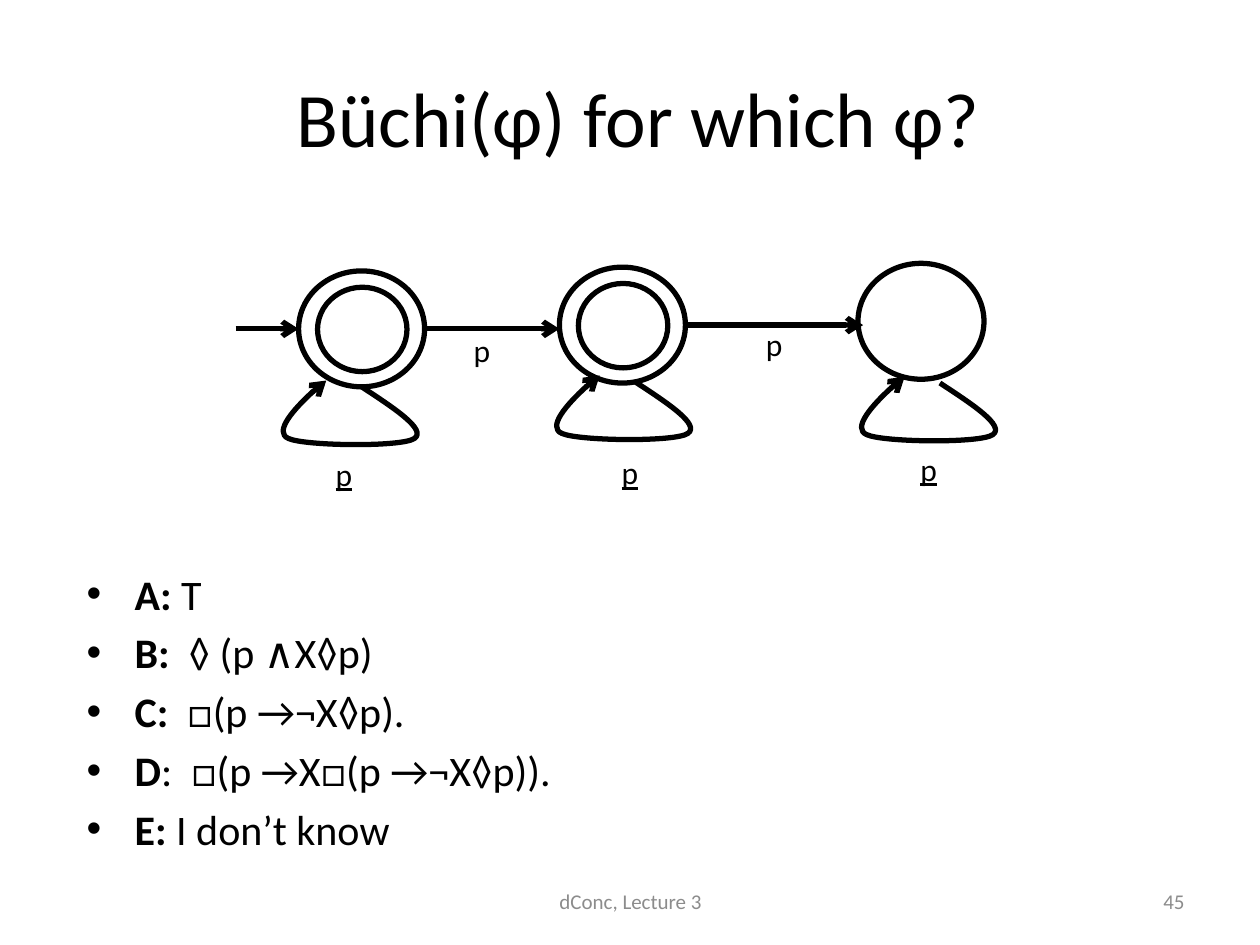
from lxml.etree import SubElement
from pptx import Presentation
from pptx.dml.color import RGBColor
from pptx.enum.shapes import MSO_CONNECTOR, MSO_SHAPE
from pptx.enum.text import MSO_ANCHOR, PP_ALIGN
from pptx.oxml.ns import qn
from pptx.util import Inches, Pt

BLACK = RGBColor(0x00, 0x00, 0x00)
GREY = RGBColor(0x8C, 0x8C, 0x8C)

deck = Presentation()
deck.slide_width, deck.slide_height = Inches(10), Inches(7.5)
CELL = deck.slide_width // 100  # the slide is a grid of 100 columns by 75 rows
slide = deck.slides.add_slide(deck.slide_layouts[5])


def cells(*counts):
    """Turn grid counts into lengths."""
    return [round(count * CELL) for count in counts]


def add_text(text, place, size=18, color=BLACK, align=PP_ALIGN.CENTER,
             anchor=MSO_ANCHOR.TOP, underline=False, wrap=True, box=None):
    """Write one paragraph per item; an item is a list of (text, bold) runs."""
    box = box or slide.shapes.add_textbox(0, 0, 0, 0)
    box.left, box.top, box.width, box.height = cells(*place)
    frame = box.text_frame
    frame.word_wrap, frame.vertical_anchor = wrap, anchor
    items = [[(text, False)]] if isinstance(text, str) else text
    for index, item in enumerate(items):
        para = frame.add_paragraph() if index else frame.paragraphs[0]
        para.alignment = align
        if len(items) > 1:
            properties = para._p.get_or_add_pPr()
            properties.set("marL", str(Inches(0.38)))
            properties.set("indent", str(-Inches(0.38)))
            SubElement(properties, qn("a:buFont"), typeface="Arial")
            SubElement(properties, qn("a:buChar"), char="•")
        if index:
            para.space_before = Pt(size * 0.2)
        for words, bold in item:
            span = para.add_run()
            span.text = words
            span.font.name, span.font.size = "Calibri", Pt(size)
            span.font.bold, span.font.underline = bold, underline
            span.font.color.rgb = color


add_text(" Büchi(φ) for which φ?", (5, 3, 90, 12.5), size=44,
         anchor=MSO_ANCHOR.MIDDLE, box=slide.shapes.title)

answers = [
    [("A: ", True), ("T", False)],
    [("B:  ", True), ("◊ (p ∧X◊p)", False)],
    [("C:", True), ("  □(p →¬X◊p).", False)],
    [("D", True), (":  □(p →X□(p →¬X◊p)).", False)],
    [("E: ", True), ("I don’t know", False)],
]
add_text(answers, (5.9, 44.6, 90, 25.2), size=24, align=PP_ALIGN.LEFT)
add_text("dConc, Lecture 3", (34.2, 69.5, 31.7, 4), size=12, color=GREY,
         anchor=MSO_ANCHOR.MIDDLE)
add_text("45", (71.7, 69.5, 23.3, 4), size=12, color=GREY,
         align=PP_ALIGN.RIGHT, anchor=MSO_ANCHOR.MIDDLE)

# States: outer circles, and inner circles for the accepting ones
state_corners = [(23.7, 21.5), (44.4, 21.2), (68.1, 20.9)]
circles = [(left, top, 10, 9.2) for left, top in state_corners]
circles += [(left + 1.5, top + 1.3, 7.1, 6.7) for left, top in state_corners[:2]]
outlines = [slide.shapes.add_shape(MSO_SHAPE.OVAL, *cells(*circle)) for circle in circles]

# Self-loops: a start and three Bezier segments, relative to the loop's corner
loop_curve = [
    ("a:moveTo", [(6.1, 0.5)]),
    ("a:cubicBezTo", [(8.7, 2.2), (11.3, 3.9), (10.3, 4.6)]),
    ("a:cubicBezTo", [(9.3, 5.3), (1.6, 5.2), (0.3, 4.6)]),
    ("a:cubicBezTo", [(-0.9, 4.1), (1.4, 1.4), (3.3, 0)]),
]
arrows = []
for left, top in [(22.6, 30.2), (44.3, 29.8), (68.5, 29.9)]:
    builder = slide.shapes.build_freeform(*cells(left, top))
    builder.add_line_segments([cells(left + 10.6, top + 5.1)], close=False)
    loop = builder.convert_to_shape()
    outline_path = next(loop._element.iter(qn("a:path")))
    for segment in list(outline_path):
        outline_path.remove(segment)
    for tag, points in loop_curve:
        segment = SubElement(outline_path, qn(tag))
        for point in points:
            x, y = cells(*point)
            SubElement(segment, qn("a:pt"), x=str(x), y=str(y))
    arrows.append(loop)
outlines += arrows

for outline in outlines:
    outline.shadow.inherit = False
    outline.fill.background()

# Transitions
for start, end, row in [(18.7, 23.7, 26.1), (33.6, 44.4, 26.1), (54.4, 68.5, 25.8)]:
    transition = slide.shapes.add_connector(
        MSO_CONNECTOR.STRAIGHT, *cells(start, row, end, row))
    SubElement(transition._element.spPr, qn("a:effectLst"))
    arrows.append(transition)
    outlines.append(transition)

for outline in outlines:
    outline.line.color.rgb = BLACK
    outline.line.width = Pt(3)
for arrow in arrows:
    SubElement(arrow.line._get_or_add_ln(), qn("a:tailEnd"), type="arrow")

for left, top in [(34.1, 25.8), (57.3, 25.3)]:
    add_text("p", (left, top, 8.3, 4))
for left, top, width in [(24.4, 35.6, 5.8), (48.3, 35.5, 3.4), (72, 35.2, 3.4)]:
    add_text("p", (left, top, width, 4), underline=True, wrap=width > 4)

deck.save("out.pptx")
